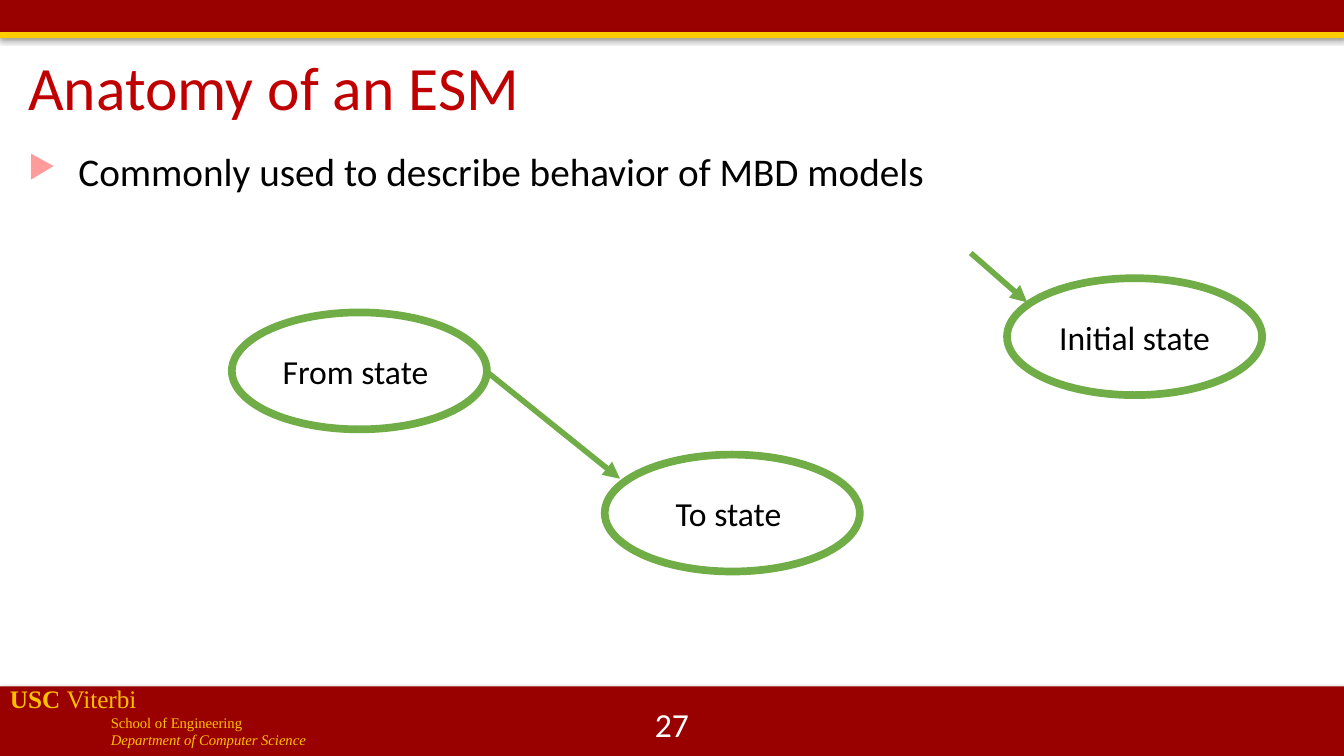
from lxml import etree
from pptx import Presentation, util as u
from pptx.dml.color import RGBColor
from pptx.enum import shapes, text
from pptx.oxml.ns import qn

CARDINAL = RGBColor(0x99, 0x00, 0x00)
GOLD = RGBColor(0xFF, 0xCC, 0x00)
AMBER = RGBColor(0xFF, 0xC0, 0x00)
TITLE_RED = RGBColor(0xC0, 0x00, 0x00)
PINK = RGBColor(0xFF, 0x9B, 0x9B)
GREEN = RGBColor(0x70, 0xAD, 0x47)
BLACK = RGBColor(0x00, 0x00, 0x00)
WHITE = RGBColor(0xFF, 0xFF, 0xFF)

WIDTH, HEIGHT = u.Inches(13.33), u.Inches(7.5)
STATE_SIZE = (18.98, 15.47)


def across(percent):
    return int(WIDTH * percent / 100)


def down(percent):
    return int(HEIGHT * percent / 100)


def area(left, top, width, height):
    """Turn percentages of the slide into a position and size."""
    return across(left), down(top), across(width), down(height)


def add_child(parent, tag, **attributes):
    child = etree.SubElement(parent, qn(tag))
    for name, value in attributes.items():
        child.set(name, str(value))
    return child


def write(para, words, size, color, font="Calibri", bold=False, italic=False):
    span = para.add_run()
    span.text = words
    span.font.name = font
    span.font.size = u.Pt(size)
    span.font.color.rgb = color
    span.font.bold = bold
    span.font.italic = italic


def add_box(page, place, anchor=text.MSO_ANCHOR.TOP):
    box = page.shapes.add_textbox(*place)
    box.text_frame.word_wrap = True
    box.text_frame.vertical_anchor = anchor
    return box.text_frame


def add_bar(page, place, color, opacity):
    bar = page.shapes.add_shape(shapes.MSO_SHAPE.RECTANGLE, *place)
    bar.fill.solid()
    bar.fill.fore_color.rgb = color
    bar.line.fill.background()
    bar.shadow.inherit = False
    effects = bar.element.spPr.find(qn("a:effectLst"))
    shadow = add_child(effects, "a:outerShdw", blurRad=u.Pt(3.1),
                       dist=u.Pt(1.8), dir=90 * 60000, rotWithShape=0)
    tint = add_child(shadow, "a:srgbClr", val=BLACK)
    add_child(tint, "a:alpha", val=opacity * 1000)


def add_state(page, left, top, label):
    state = page.shapes.add_shape(shapes.MSO_SHAPE.OVAL,
                                  *area(left, top, *STATE_SIZE))
    state.shadow.inherit = False
    state.fill.solid()
    state.fill.fore_color.rgb = WHITE
    state.line.color.rgb = GREEN
    state.line.width = u.Pt(5.5)
    state.text_frame.vertical_anchor = text.MSO_ANCHOR.MIDDLE
    para = state.text_frame.paragraphs[0]
    para.alignment = text.PP_ALIGN.CENTER
    write(para, label, 24, BLACK)


def add_arrow(page, start, end):
    arrow = page.shapes.add_connector(
        shapes.MSO_CONNECTOR.STRAIGHT,
        across(start[0]), down(start[1]), across(end[0]), down(end[1]))
    arrow.line.color.rgb = GREEN
    arrow.line.width = u.Pt(4)
    add_child(arrow.line._get_or_add_ln(), "a:tailEnd", type="triangle")
    add_child(arrow.element.spPr, "a:effectLst")


def add_title(page, place, words):
    title = page.shapes.title
    title.left, title.top, title.width, title.height = place
    frame = title.text_frame
    frame.auto_size = text.MSO_AUTO_SIZE.NONE
    frame.vertical_anchor = text.MSO_ANCHOR.MIDDLE
    para = frame.paragraphs[0]
    para.alignment = text.PP_ALIGN.LEFT
    para.line_spacing = 0.9
    write(para, words, 44, TITLE_RED)


def add_bullet(page, place, words):
    para = add_box(page, place).paragraphs[0]
    para.line_spacing = 0.9
    properties = para._p.get_or_add_pPr()
    properties.set("marL", str(u.Inches(0.5)))
    properties.set("indent", str(-u.Inches(0.5)))
    add_child(add_child(properties, "a:buClr"), "a:srgbClr", val=PINK)
    add_child(properties, "a:buSzPct", val=80000)
    add_child(properties, "a:buChar", char="▶")
    write(para, words, 28, BLACK)


def add_affiliation(page, place):
    frame = add_box(page, place)
    serif = {"color": AMBER, "font": "Times New Roman"}
    school = frame.paragraphs[0]
    write(school, "USC ", 18, bold=True, **serif)
    write(school, "Viterbi", 18, **serif)
    for words, italic in (("School of Engineering", False),
                          ("Department of Computer Science", True)):
        para = frame.add_paragraph()
        para._p.get_or_add_pPr().set("marL", str(u.Inches(1)))
        write(para, words, 10.5, italic=italic, **serif)


def add_page_number(page, place, number):
    para = add_box(page, place, text.MSO_ANCHOR.MIDDLE).paragraphs[0]
    para.alignment = text.PP_ALIGN.CENTER
    write(para, number, 24, WHITE)


def main():
    deck = Presentation()
    deck.slide_width, deck.slide_height = WIDTH, HEIGHT
    page = deck.slides.add_slide(deck.slide_layouts[5])

    # Bands and footer
    add_bar(page, area(0, 0, 100, 4.4), CARDINAL, 35)
    add_bar(page, area(0, 4.27, 100, 0.8), GOLD, 38)
    add_bar(page, area(0, 90.8, 100, 9.2), CARDINAL, 35)
    add_affiliation(page, area(0, 89.73, 46.88, 10.27))
    add_page_number(page, area(38.75, 93.07, 22.5, 5.33), "27")

    # Title and statement
    add_title(page, area(1.35, 6.27, 89.55, 11.33), "Anatomy of an ESM")
    add_bullet(page, area(1.35, 19.47, 95.93, 15.47),
               "Commonly used to describe behavior of MBD models")

    # State diagram
    for left, top, label in ((17.25, 41.33, "From state "),
                             (45, 60.13, "To state "),
                             (74.93, 36.8, "Initial state")):
        add_state(page, left, top, label)
    add_arrow(page, (36.15, 49.07), (46.13, 63.33))
    add_arrow(page, (72.23, 33.47), (76.43, 40))

    deck.save("out.pptx")


if __name__ == "__main__":
    main()
